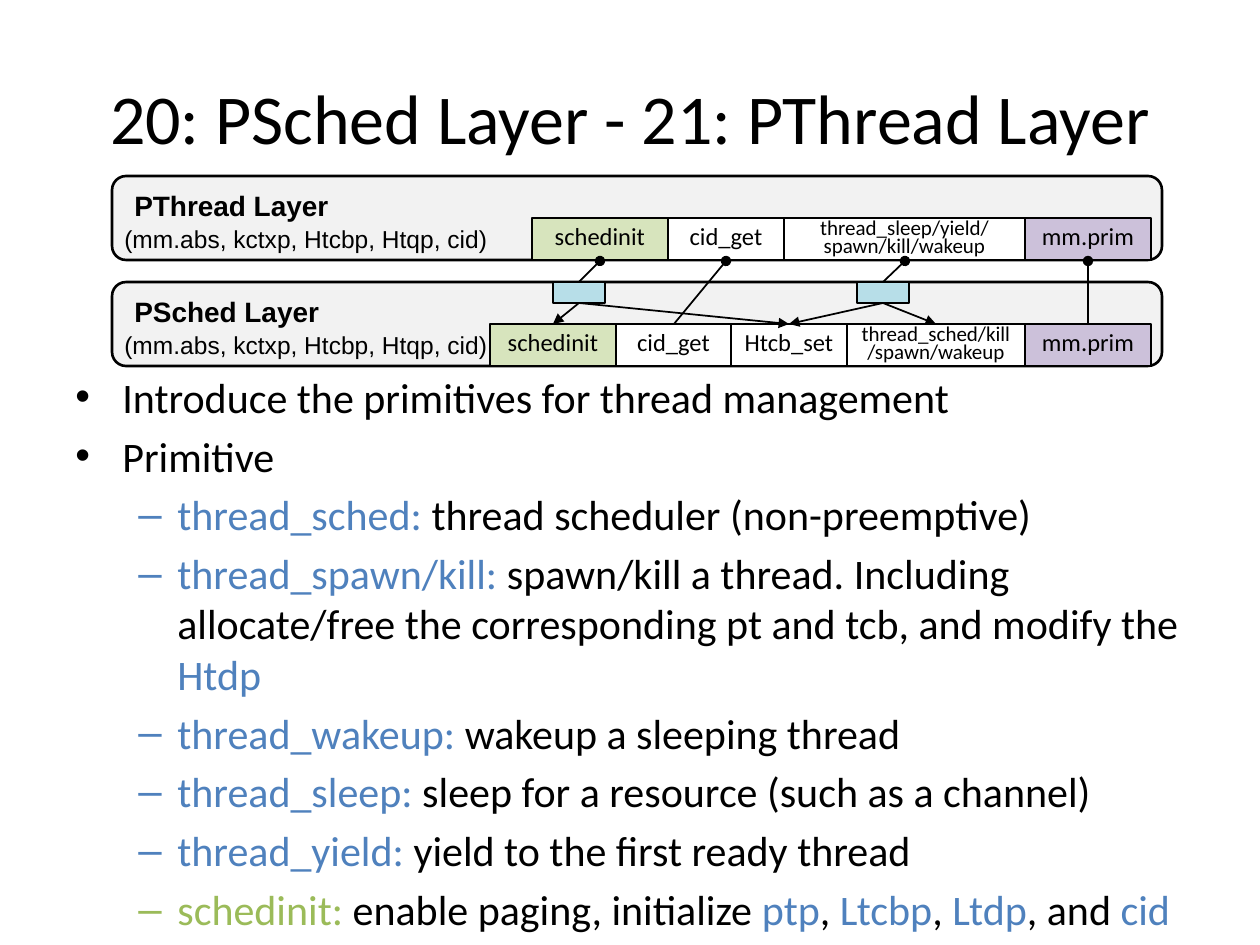
from itertools import pairwise

from lxml import etree
from pptx import Presentation
from pptx.dml.color import RGBColor
from pptx.enum.shapes import MSO_CONNECTOR, MSO_SHAPE
from pptx.enum.text import MSO_ANCHOR, PP_ALIGN
from pptx.oxml.ns import qn
from pptx.util import Pt

BLACK = RGBColor(0x00, 0x00, 0x00)
WHITE = RGBColor(0xFF, 0xFF, 0xFF)
GRAY = RGBColor(0xF2, 0xF2, 0xF2)
PURPLE = RGBColor(0xCC, 0xC1, 0xDA)
PALE_GREEN = RGBColor(0xD7, 0xE4, 0xBD)
PALE_BLUE = RGBColor(0xB7, 0xDE, 0xE8)
BLUE = RGBColor(0x4F, 0x81, 0xBD)
GREEN = RGBColor(0x9B, 0xBB, 0x59)
RECT, ROUND = MSO_SHAPE.RECTANGLE, MSO_SHAPE.ROUNDED_RECTANGLE
STRAIGHT = MSO_CONNECTOR.STRAIGHT
LEFT, CENTER = PP_ALIGN.LEFT, PP_ALIGN.CENTER
TOP, MIDDLE = MSO_ANCHOR.TOP, MSO_ANCHOR.MIDDLE

TITLE = "20: PSched Layer - 21: PThread Layer"
STATE = "(mm.abs, kctxp, Htcbp, Htqp, cid)"
PANEL_X, PANEL_W, PANEL_H, CELL_H = 112, 1050, 84, 42
LAYERS = [
    ("PThread Layer", 176, [532, 668, 784, 1025, 1151], [
        ("schedinit", PALE_GREEN, 14),
        ("cid_get", WHITE, 14),
        ("thread_sleep/yield/spawn/kill/wakeup", WHITE, 12),
        ("mm.prim", PURPLE, 14),
    ]),
    ("PSched Layer", 282, [490, 616, 731, 847, 1025, 1151], [
        ("schedinit", PALE_GREEN, 14),
        ("cid_get", WHITE, 14),
        ("Htcb_set", WHITE, 14),
        ("thread_sched/kill\n/spawn/wakeup", WHITE, 12),
        ("mm.prim", PURPLE, 14),
    ]),
]
ADAPTER_Y, ADAPTER_W, ADAPTER_H = 282, 52, 21
ADAPTERS = [579, 883]
UPPER_Y, LOWER_Y = 261, 324
ADAPTER_BOTTOM = ADAPTER_Y + ADAPTER_H
HEAD, TAIL = ("headEnd", "oval"), ("tailEnd", "triangle")
LINKS = [
    (1088, UPPER_Y, 1088, LOWER_Y, HEAD),
    (726, UPPER_Y, 674, LOWER_Y, HEAD),
    (600, UPPER_Y, 579, ADAPTER_Y, HEAD),
    (905, UPPER_Y, 883, ADAPTER_Y, HEAD),
    (579, ADAPTER_BOTTOM, 553, LOWER_Y, TAIL),
    (579, ADAPTER_BOTTOM, 789, LOWER_Y, TAIL),
    (883, ADAPTER_BOTTOM, 789, LOWER_Y, TAIL),
    (883, ADAPTER_BOTTOM, 936, LOWER_Y, TAIL),
]
BULLETS = [
    (0, [("Introduce the primitives for thread management", BLACK)]),
    (0, [("Primitive", BLACK)]),
    (1, [("thread_sched: ", BLUE), ("thread scheduler (non-preemptive)", BLACK)]),
    (1, [("thread_spawn/kill: ", BLUE),
         ("spawn/kill a thread. Including allocate/free the corresponding "
          "pt and tcb, and modify the ", BLACK), ("Htdp", BLUE)]),
    (1, [("thread_wakeup: ", BLUE), ("wakeup a sleeping thread", BLACK)]),
    (1, [("thread_sleep: ", BLUE), ("sleep for a resource (such as a channel)", BLACK)]),
    (1, [("thread_yield: ", BLUE), ("yield to the first ready thread", BLACK)]),
    (1, [("schedinit: ", GREEN), ("enable paging, initialize ", BLACK),
         ("ptp", BLUE), (", ", BLACK), ("Ltcbp", BLUE), (", ", BLACK),
         ("Ltdp", BLUE), (", and ", BLACK), ("cid", BLUE)]),
]
LEVELS = [("•", 47, -47), ("–", 102, -39)]


def px(n):
    return round(n * 914400 / 126)


def style(font, size, name="Calibri", color=BLACK, bold=False):
    font.size, font.name, font.bold = Pt(size), name, bold
    font.color.rgb = color


def add_box(s, kind, x, y, w, h, fill, line=1):
    sp = s.shapes.add_shape(kind, px(x), px(y), px(w), px(h))
    sp.shadow.inherit = False
    sp.fill.solid()
    sp.fill.fore_color.rgb = fill
    sp.line.color.rgb = BLACK
    sp.line.width = Pt(line)
    return sp


def set_text(sp, text, size, name="Calibri", bold=False, align=CENTER,
             anchor=MIDDLE, wrap=True, spacing=None):
    tf = sp.text_frame
    tf.text = text
    tf.word_wrap = wrap
    tf.vertical_anchor = anchor
    for p in tf.paragraphs:
        p.alignment = align
        p.line_spacing = spacing
        for r in p.runs:
            style(r.font, size, name, BLACK, bold)


def add_label(s, x, y, w, h, text, size, **options):
    sp = s.shapes.add_textbox(px(x), px(y), px(w), px(h))
    set_text(sp, text, size, **options)


def add_layer(s, name, y, edges, cells):
    add_box(s, ROUND, PANEL_X, y, PANEL_W, PANEL_H, GRAY, 1.5)
    cell_y = y + PANEL_H - CELL_H
    arial = dict(name="Arial", align=LEFT, anchor=TOP, wrap=False)
    add_label(s, PANEL_X + 10, y + 6, 230, 47, name, 16, bold=True, **arial)
    add_label(s, PANEL_X, cell_y, 390, 43, STATE, 14, **arial)
    for (left, right), (text, fill, size) in zip(pairwise(edges), cells):
        sp = add_box(s, RECT, left, cell_y, right - left, CELL_H, fill)
        set_text(sp, text, size, spacing=0.7)


def add_link(s, x1, y1, x2, y2, end):
    c = s.shapes.add_connector(STRAIGHT, px(x1), px(y1), px(x2), px(y2))
    c.line.color.rgb = BLACK
    c.line.width = Pt(1)
    tag, kind = end
    etree.SubElement(c.line._get_or_add_ln(), qn("a:" + tag), type=kind)
    etree.SubElement(c._element.spPr, qn("a:effectLst"))


def add_bullets(s, x, y, w, h):
    tf = s.shapes.add_textbox(px(x), px(y), px(w), px(h)).text_frame
    tf.word_wrap = True
    for i, (level, runs) in enumerate(BULLETS):
        p = tf.add_paragraph() if i else tf.paragraphs[0]
        char, margin, indent = LEVELS[level]
        pPr = p._p.get_or_add_pPr()
        pPr.set("marL", str(px(margin)))
        pPr.set("indent", str(px(indent)))
        etree.SubElement(pPr, qn("a:buFont"), typeface="Arial")
        etree.SubElement(pPr, qn("a:buChar"), char=char)
        p.level = level
        p.space_before = Pt(4.8 if i else 0)
        for text, color in runs:
            r = p.add_run()
            r.text = text
            style(r.font, 24, color=color)


def main():
    prs = Presentation()
    prs.slide_width, prs.slide_height = px(1260), px(945)
    s = prs.slides.add_slide(prs.slide_layouts[6])
    add_bullets(s, 63, 365, 1134, 536)
    add_label(s, 63, 38, 1134, 157, TITLE, 40)
    for layer in LAYERS:
        add_layer(s, *layer)
    for center in ADAPTERS:
        add_box(s, RECT, center - ADAPTER_W / 2, ADAPTER_Y, ADAPTER_W, ADAPTER_H, PALE_BLUE)
    for link in LINKS:
        add_link(s, *link)
    prs.save("out.pptx")


if __name__ == "__main__":
    main()
